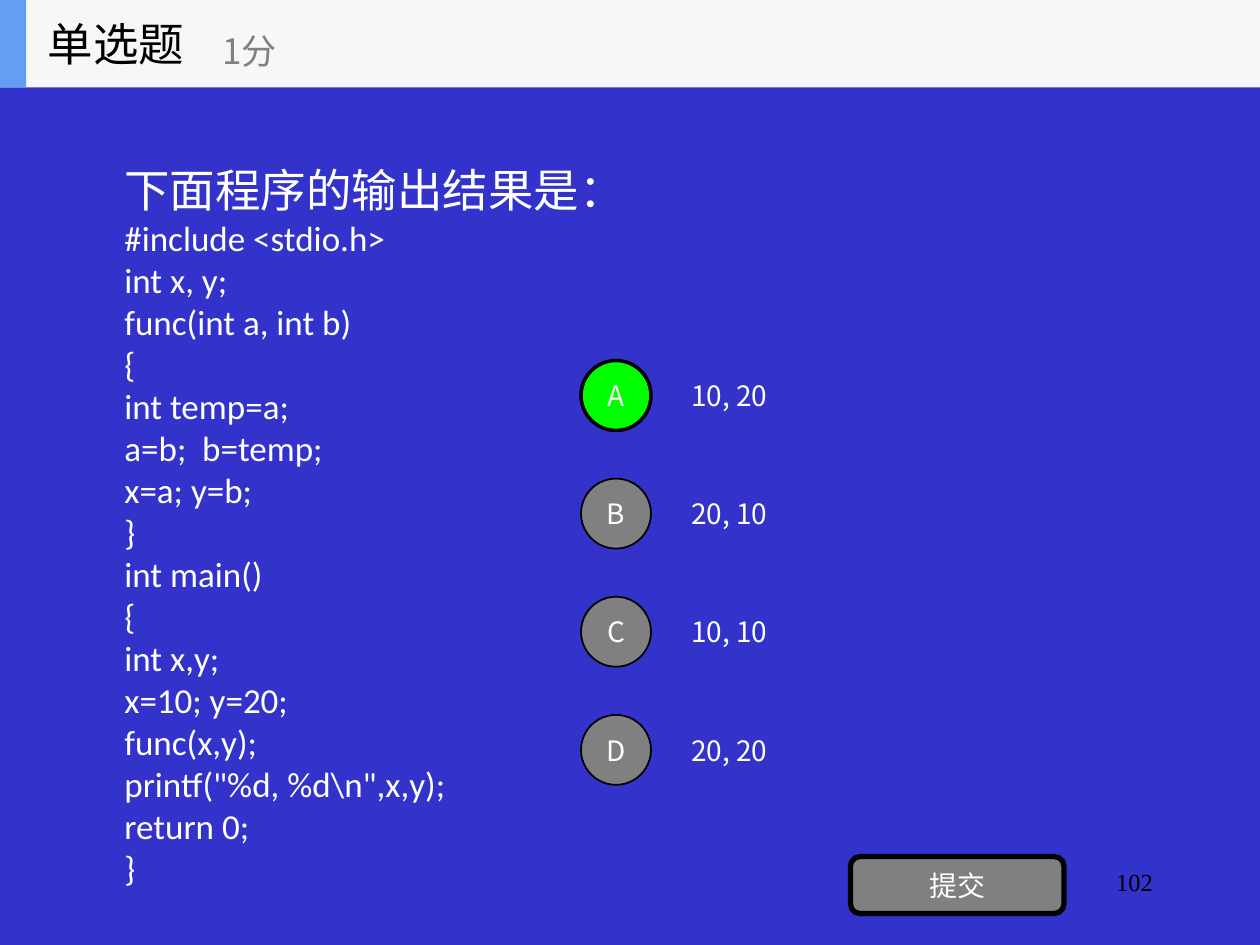
from pptx import Presentation
from pptx.dml.color import RGBColor
from pptx.enum.shapes import MSO_SHAPE
from pptx.enum.text import MSO_ANCHOR, MSO_AUTO_SIZE, PP_ALIGN
from pptx.oxml.ns import qn
from pptx.util import Pt
from lxml import etree

LEFT, CENTER, RIGHT = PP_ALIGN.LEFT, PP_ALIGN.CENTER, PP_ALIGN.RIGHT
TOP, MIDDLE = MSO_ANCHOR.TOP, MSO_ANCHOR.MIDDLE
RECT, ROUND_RECT, OVAL = MSO_SHAPE.RECTANGLE, MSO_SHAPE.ROUNDED_RECTANGLE, MSO_SHAPE.OVAL

# Content
HEADING = "单选题"
SCORE = "1分"
QUESTION = "下面程序的输出结果是："
CODE = [
    "#include <stdio.h>",
    "int x, y;",
    "func(int a, int b)",
    "{",
    "int temp=a;",
    "a=b;  b=temp;",
    "x=a; y=b;",
    "}",
    "int main()",
    "{",
    "int x,y;",
    "x=10; y=20;",
    "func(x,y);",
    'printf("%d, %d\\n",x,y);',
    "return 0;",
    "}",
]
OPTIONS = [("A", "10, 20"), ("B", "20, 10"), ("C", "10, 10"), ("D", "20, 20")]
CORRECT = "A"
SUBMIT = "提交"
PAGE_NUMBER = "102"

# Style
COLORS = {
    "background": "3333CC", "bar": "F6F7F8", "accent": "639EF4", "white": "FFFFFF",
    "black": "000000", "gray": "808080", "correct": "00FF00",
}
CJK, LATIN, SERIF = "Noto Sans CJK SC", "Calibri", "Times New Roman"

# Layout, in points
SLIDE_W, SLIDE_H = 720, 540
BAR_H, ACCENT_W = 50, 15
OPTION_TOP, OPTION_PITCH, OPTION_H = 201, 67.5, 50
CIRCLE_LEFT, CIRCLE_SIZE = 332, 40
ANSWER_LEFT = 388


def rgb(name):
    return RGBColor.from_string(COLORS[name])


def style(paragraph, size, color, face=CJK, align=LEFT):
    paragraph.alignment = align
    font = paragraph.font
    font.size, font.name, font.color.rgb = Pt(size), face, rgb(color)
    latin = paragraph._p.pPr.find(qn("a:defRPr")).find(qn("a:latin"))
    east_asian = etree.Element(qn("a:ea"), typeface=face)
    latin.addnext(east_asian)


def write(shape, lines, anchor=MIDDLE):
    """Fill a shape with (text, style arguments) lines."""
    frame = shape.text_frame
    frame.word_wrap, frame.auto_size = True, MSO_AUTO_SIZE.NONE
    frame.vertical_anchor = anchor
    frame.text = "\n".join(text for text, *_ in lines)
    for paragraph, (_, *look) in zip(frame.paragraphs, lines):
        style(paragraph, *look)


def add_text(box, lines, anchor=MIDDLE):
    write(slide.shapes.add_textbox(*map(Pt, box)), lines, anchor)


def add_block(kind, box, fill, border=0, label=None):
    block = slide.shapes.add_shape(kind, *map(Pt, box))
    block.shadow.inherit = False
    block.fill.solid()
    block.fill.fore_color.rgb = rgb(fill)
    if border:
        block.line.color.rgb, block.line.width = rgb("black"), Pt(border)
    else:
        block.line.fill.background()
    if label:
        frame = block.text_frame
        frame.margin_left = frame.margin_right = frame.margin_top = frame.margin_bottom = 0
        write(block, [(label, 16, "white", CJK, CENTER)])


prs = Presentation()
prs.slide_width, prs.slide_height = Pt(SLIDE_W), Pt(SLIDE_H)
slide = prs.slides.add_slide(prs.slide_layouts[5])
slide.background.fill.solid()
slide.background.fill.fore_color.rgb = rgb("background")

# Page number
add_text((516, 492, 150, 36), [(PAGE_NUMBER, 14, "black", SERIF, RIGHT)], TOP)

# Question and program
program = [(line, 20, "white", LATIN) for line in CODE]
add_text((64, 78.5, 576, 443), [(QUESTION, 26, "white")] + program)

# Answer options
for row, (letter, answer) in enumerate(OPTIONS):
    top = OPTION_TOP + row * OPTION_PITCH
    add_text((ANSWER_LEFT, top, SLIDE_W - ANSWER_LEFT, OPTION_H), [(answer, 16, "white")])
    fill, border = ("correct", 2) if letter == CORRECT else ("gray", 1)
    circle_top = top + (OPTION_H - CIRCLE_SIZE) / 2
    add_block(OVAL, (CIRCLE_LEFT, circle_top, CIRCLE_SIZE, CIRCLE_SIZE), fill, border, letter)

# Submit button
add_block(ROUND_RECT, (486, 489.5, 122, 32.5), "gray", 3, SUBMIT)

# Header, with the title raised above its bar
add_block(RECT, (0, 0, SLIDE_W, BAR_H), "bar")
add_block(RECT, (0, 0, ACCENT_W, BAR_H), "accent")
title = slide.shapes.title
title.left, title.top, title.width, title.height = map(Pt, (20, 0, 150, BAR_H))
write(title, [(HEADING, 26, "black")])
slide.shapes._spTree.append(title._element)
add_text((120, 9, 180, 40), [(SCORE, 20, "gray")])

prs.save("out.pptx")
